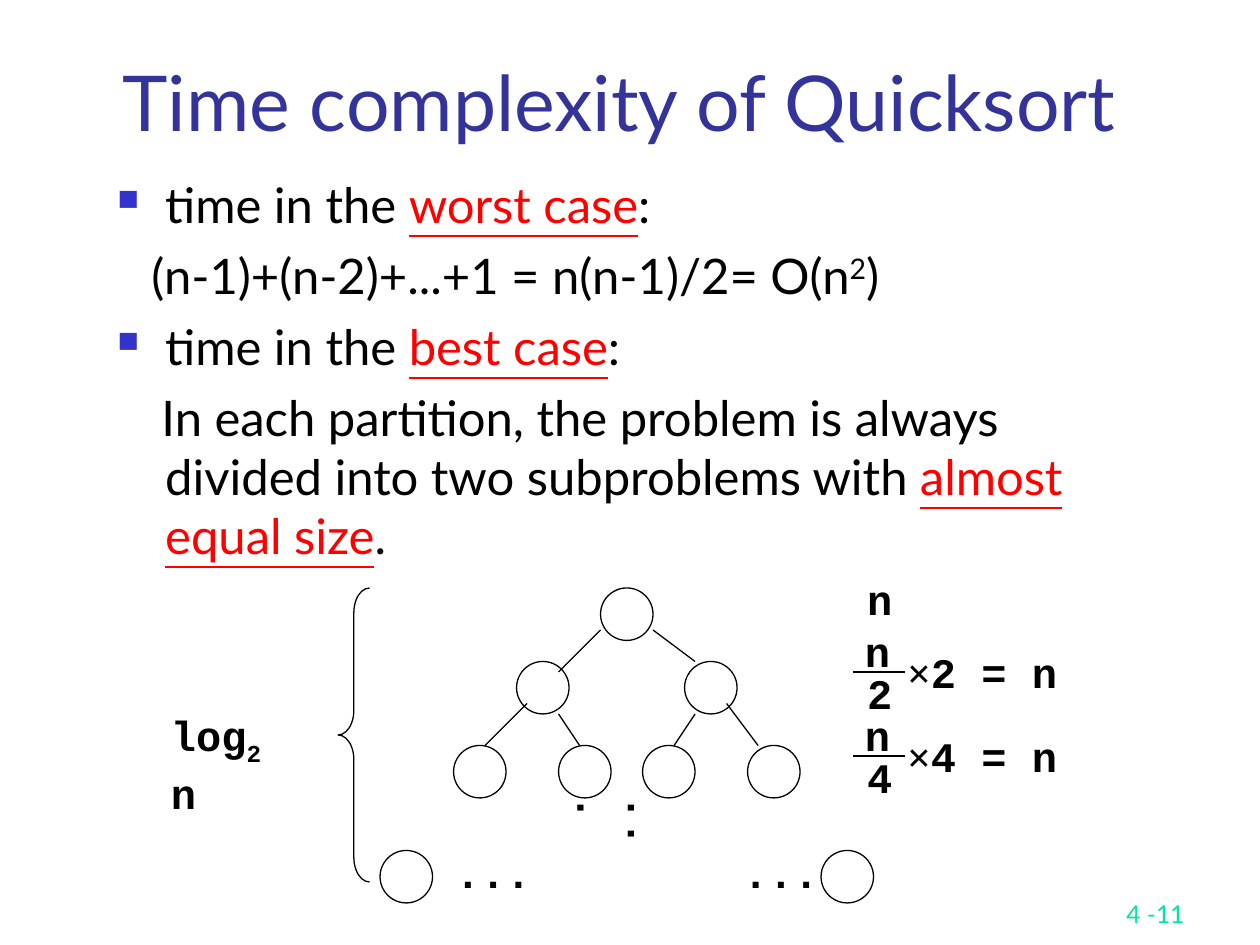
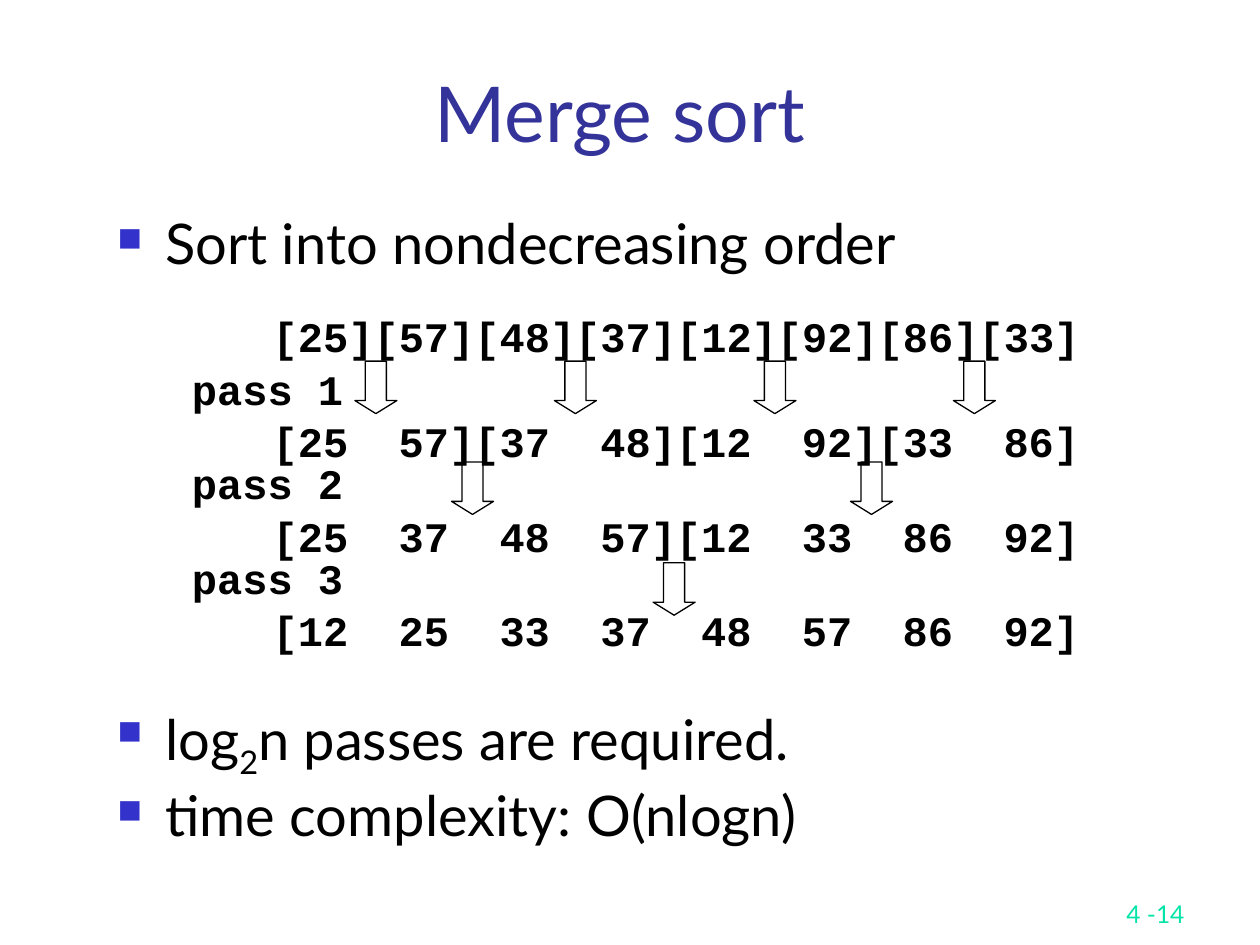
from pptx import Presentation
from pptx.dml.color import RGBColor
from pptx.enum.shapes import MSO_CONNECTOR, MSO_SHAPE as SHAPE
from pptx.enum.text import MSO_ANCHOR as ANCHOR, MSO_AUTO_SIZE as FIT, PP_ALIGN as ALIGN
from pptx.oxml.ns import qn
from pptx.util import Inches, Pt
from lxml.etree import SubElement

# Shared style; the grid has 120 columns and 90 rows of 1/12 inch
COLS, ROWS = 120, 90
BLACK, RED, TITLE, BULLET, FOOTER = "000000", "FF0000", "333399", "3333CC", "00E4A8"
SANS = {"name": "Lato"}
MONO = {"name": "Courier New", "size": Pt(24), "bold": True}
KEY = {"color": RED, "underline": True}
SUB, SUP = {"baseline": -25}, {"baseline": 30}
HANG = 0.38


def u(n):
    return Inches(n / 12)


def rgb(color):
    return RGBColor.from_string(color)


def add_runs(p, parts, base):
    """Parts are strings or (string, changes to the base format)."""
    for part in parts:
        text, changes = (part, {}) if isinstance(part, str) else part
        fmt = {"color": BLACK, **base, **changes}
        r = p.add_run()
        r.text = text
        r.font.color.rgb = rgb(fmt.pop("color"))
        if "baseline" in fmt:
            r.font._element.set("baseline", str(fmt.pop("baseline") * 1000))
        for name, value in fmt.items():
            setattr(r.font, name, value)


def add_text(slide, box, parts=(), base=SANS, align=ALIGN.LEFT, **frame):
    sp = slide.shapes.add_textbox(*map(u, box))
    tf = sp.text_frame
    for name, value in {"word_wrap": True, **frame}.items():
        setattr(tf, name, value)
    p = tf.paragraphs[0]
    p.alignment = align
    add_runs(p, parts, base)
    return tf


def add_mono(slide, x, y, w, *parts, h=6):
    return add_text(slide, (x, y, w, h), parts, MONO, word_wrap=False,
                    auto_size=FIT.SHAPE_TO_FIT_TEXT)


def add_frame(prs, title, top, number):
    slide = prs.slides.add_slide(prs.slide_layouts[6])
    add_text(slide, (89, 83, 25, 6), [number], {**SANS, "size": Pt(14), "color": FOOTER},
             ALIGN.RIGHT, vertical_anchor=ANCHOR.BOTTOM)
    add_text(slide, (9, top, 100, 10), [title], {**SANS, "size": Pt(44), "color": TITLE},
             ALIGN.CENTER, vertical_anchor=ANCHOR.BOTTOM, margin_top=0, margin_bottom=0)
    return slide


def add_bullet(pPr):
    color = SubElement(pPr, qn("a:buClr"))
    SubElement(color, qn("a:srgbClr"), val=BULLET)
    SubElement(pPr, qn("a:buSzPct"), val="60000")
    SubElement(pPr, qn("a:buChar"), char="■")


def add_body(slide, box, size, paragraphs, spacing=1.0):
    """Paragraphs are (parts, space before, first-line indent or None for a bullet)."""
    tf = add_text(slide, box)
    for i, (parts, before, indent) in enumerate(paragraphs):
        p = tf.add_paragraph() if i else tf.paragraphs[0]
        p.space_before, p.line_spacing = Pt(before), spacing
        pPr = p._p.get_or_add_pPr()
        pPr.set("marL", str(Inches(HANG)))
        pPr.set("indent", str(Inches(-HANG if indent is None else indent)))
        if indent is None:
            add_bullet(pPr)
        add_runs(p, parts, {**SANS, "size": Pt(size)})


def add_outline(slide, kind, x, y, w, h, *adjustments):
    sp = slide.shapes.add_shape(kind, *map(u, (x, y, w, h)))
    sp.shadow.inherit = False
    sp.fill.background()
    sp.line.color.rgb, sp.line.width = rgb(BLACK), Pt(0.75)
    for i, value in enumerate(adjustments):
        sp.adjustments[i] = value


def add_line(slide, *ends):
    line = slide.shapes.add_connector(MSO_CONNECTOR.STRAIGHT, *map(u, ends))
    line.line.color.rgb, line.line.width = rgb(BLACK), Pt(0.75)
    SubElement(line._element.spPr, qn("a:effectLst"))


def add_tree(slide, left):
    levels = {56: [21], 63: [13, 29], 71: [7, 17, 25, 35], 81: [0, 42]}
    for y, columns in levels.items():
        for x in columns:
            add_outline(slide, SHAPE.OVAL, left + x, y, 5, 5)
    edges = [(17, 64, 21, 60), (26, 60, 30, 63), (10, 71, 14, 67),
             (17, 68, 19, 71), (30, 68, 28, 71), (33, 67, 36, 71)]
    for x1, y1, x2, y2 in edges:
        add_line(slide, left + x1, y1, left + x2, y2)
    # Omitted nodes and levels
    for x in (6, 33.4):
        add_mono(slide, left + x, 80, 9.6, "...")
    dots = add_text(slide, (left + 16.2, 74.6, 12, 8.4), ["..."], MONO,
                    margin_left=Inches(0.05), margin_right=Inches(0.05),
                    margin_top=Inches(0.1), margin_bottom=Inches(0.1))
    dots._txBody.bodyPr.set("vert", "eaVert")
    # Depth of the tree
    add_outline(slide, SHAPE.LEFT_BRACE, left - 4, 56, 3, 28, 0.78)
    add_mono(slide, left - 21.1, 67, 13.3, "log", ("2", SUB), "n", h=6.7)


def add_level_cost(slide, x, y, count):
    """n/count × count = n"""
    add_mono(slide, x, y, 4.8, "n")
    add_mono(slide, x + 0.2, y + 4, 4.8, count)
    add_line(slide, x, y + 5, x + 5, y + 5)
    add_mono(slide, x + 4, y + 2, 16.7, ("×", {"name": "Times New Roman"}), f"{count} = n")


def quicksort_slide(prs):
    slide = add_frame(prs, "Time complexity of Quicksort", 4, "4 -11")
    add_body(slide, (10, 16, 102, 54), 28, [
        (["time in the ", ("worst case", KEY), ":"], 7, None),
        (["(n-1)+(n-2)+...+1 = n(n-1)/2= O(n", ("2", SUP), ")"], 7, -0.11),
        (["time in the ", ("best case", KEY), ":"], 7, None),
        (["In each partition, the problem is always divided into two subproblems with ",
          ("almost equal size", KEY), "."], 7, -0.03),
    ])
    add_tree(slide, 36.2)
    add_mono(slide, 81.4, 54, 5.8, "n")
    for i, count in enumerate("24"):
        add_level_cost(slide, 81.2, 59 + 8 * i, count)


def add_run_row(slide, y, numbers, length):
    """Show the numbers in sorted runs of the given length, one tab stop a column."""
    runs = [numbers[i:i + length] for i in range(0, len(numbers), length)]
    text = "".join("[" + "\t".join(map(str, run)) + "]" for run in runs)
    tf = add_mono(slide, 24.8, y, 79.2, text)
    tabs = SubElement(tf.paragraphs[0]._p.get_or_add_pPr(), qn("a:tabLst"))
    for i in range(1, len(numbers)):
        SubElement(tabs, qn("a:tab"), pos=str(Inches(0.2 + 0.8 * i)), algn="l")


def merge_sort_slide(prs):
    slide = add_frame(prs, "Merge sort", 5, "4 -14")
    add_body(slide, (10, 20, 102, 64), 32, [
        (["Sort into nondecreasing order"], 8, None),
        (["log", ("2", SUB), "n passes are required."], 245, None),
        (["time complexity: O(nlogn)"], 8, None),
    ], 0.9)
    # Rows of sorted runs, each twice as long as the row before
    numbers = [25, 57, 48, 37, 12, 92, 86, 33]
    for level, y in enumerate((29, 39, 48, 57)):
        length = 2 ** level
        row = [n for i in range(0, 8, length) for n in sorted(numbers[i:i + length])]
        add_run_row(slide, y, row, length)
    # Passes, with an arrow for each merge
    for i, (count, left, gap) in enumerate([(4, 33.8, 19), (2, 43, 38), (1, 62.2, 0)]):
        add_mono(slide, 17.1, 34 + 9 * i, 16.8, f"pass {i + 1}")
        for k in range(count):
            add_outline(slide, SHAPE.DOWN_ARROW, left + gap * k, 34.4 + 9.6 * i, 4, 5, 0.5, 0.31)


def main():
    prs = Presentation()
    prs.slide_width, prs.slide_height = u(COLS), u(ROWS)
    quicksort_slide(prs)
    merge_sort_slide(prs)
    prs.save("out.pptx")


if __name__ == "__main__":
    main()
